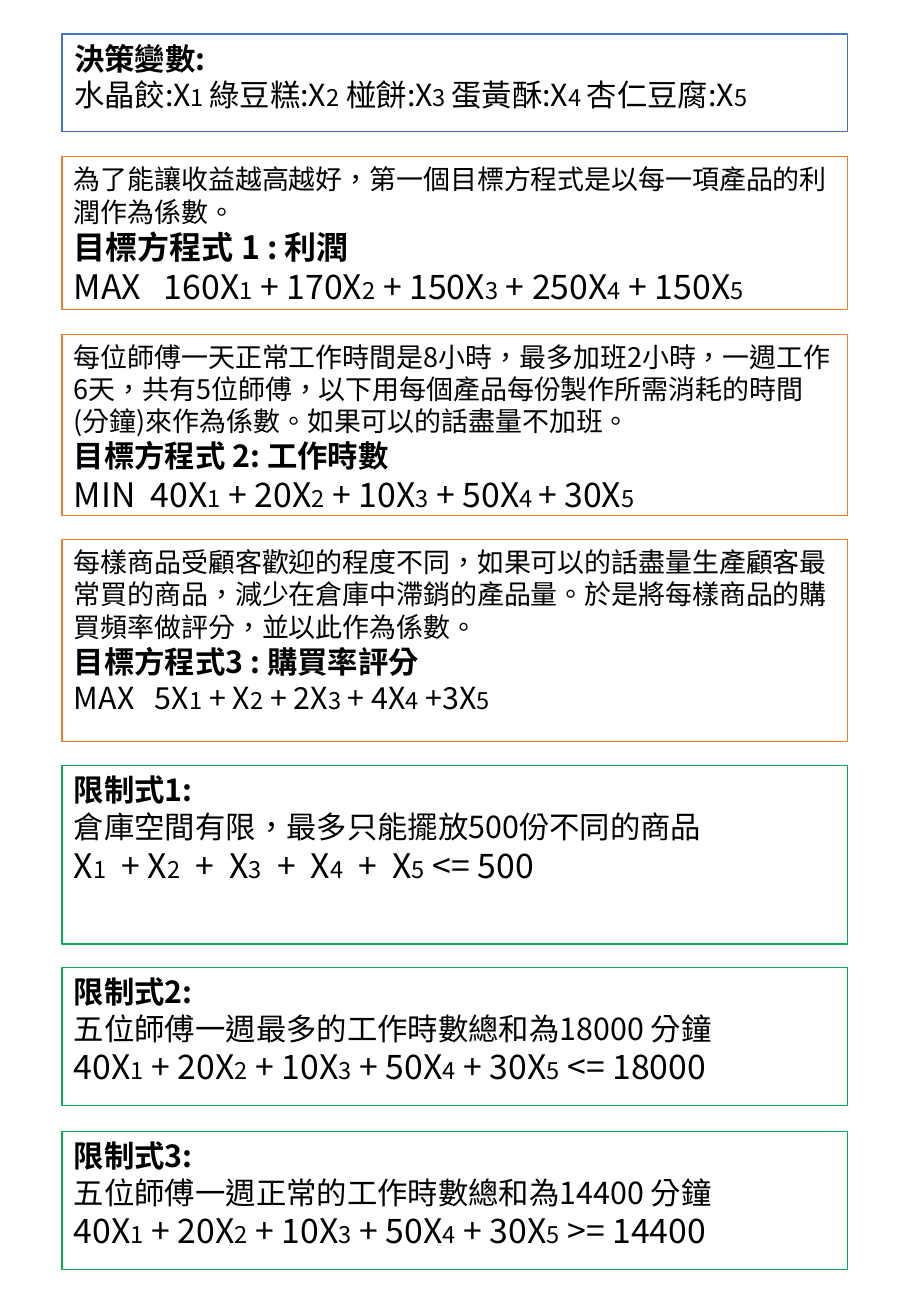
from dataclasses import dataclass

from lxml.etree import SubElement
from pptx import Presentation
from pptx.dml.color import RGBColor
from pptx.enum.shapes import MSO_SHAPE
from pptx.enum.text import MSO_ANCHOR, MSO_AUTO_SIZE, PP_ALIGN
from pptx.oxml.ns import qn
from pptx.util import Emu, Pt


# Theme
@dataclass(frozen=True)
class Theme:
    font: str = "Noto Sans CJK SC"
    language: str = "zh-TW"
    ink: str = "000000"
    variables: str = "4472C4"
    objective: str = "ED7D31"
    constraint: str = "00B050"
    note: int = 16
    text: int = 18
    heading: int = 19
    formula: int = 20
    index: int = 14
    line_spacing: float = 1.0
    outline: float = 0.75


THEME = Theme()

# Content: (top, height, outline, lines); a line is (text, size, bold)
# Square brackets hold the small index of a variable
TITLE = (28, 80, THEME.variables, [
    ("決策變數:", THEME.text, True),
    ("水晶餃:X[1 ]綠豆糕:X[2] 椪餅:X[3 ]蛋黃酥:X[4 ]杏仁豆腐:X[5]", THEME.text, False),
])
PANELS = [
    (129, 126, THEME.objective, [
        ("為了能讓收益越高越好，第一個目標方程式是以每一項產品的利潤作為係數。", THEME.note, False),
        ("目標方程式 1 : 利潤", THEME.heading, True),
        ("MAX   160X[1] + 170X[2] + 150X[3] + 250X[4] + 150X[5]", THEME.formula, False),
    ]),
    (275, 149, THEME.objective, [
        ("每位師傅一天正常工作時間是8小時，最多加班2小時，一週工作6天，共有5位師傅，"
         "以下用每個產品每份製作所需消耗的時間(分鐘)來作為係數。如果可以的話盡量不加班。", THEME.note, False),
        ("目標方程式 2: 工作時數", THEME.text, True),
        ("MIN  40X[1] + 20X[2] + 10X[3] + 50X[4 ]+ 30X[5]", THEME.formula, False),
    ]),
    (444, 166, THEME.objective, [
        ("每樣商品受顧客歡迎的程度不同，如果可以的話盡量生產顧客最常買的商品，"
         "減少在倉庫中滯銷的產品量。於是將每樣商品的購買頻率做評分，並以此作為係數。", THEME.note, False),
        ("目標方程式3 : 購買率評分", THEME.text, True),
        ("MAX   5X[1] + X[2] + 2X[3] + 4X[4] +3X[5]", THEME.text, False),
    ]),
    (630, 147, THEME.constraint, [
        ("限制式1:", THEME.text, True),
        ("倉庫空間有限，最多只能擺放500份不同的商品", THEME.text, False),
        ("X[1]  + X[2]  +  X[3]  +  X[4]  +  X[5] <= 500", THEME.formula, False),
    ]),
    (796, 114, THEME.constraint, [
        ("限制式2:", THEME.text, True),
        ("五位師傅一週最多的工作時數總和為18000 分鐘", THEME.text, False),
        ("40X[1] + 20X[2] + 10X[3] + 50X[4] + 30X[5] <= 18000", THEME.formula, False),
    ]),
    (931, 114, THEME.constraint, [
        ("限制式3:", THEME.text, True),
        ("五位師傅一週正常的工作時數總和為14400 分鐘", THEME.text, False),
        ("40X[1] + 20X[2] + 10X[3] + 50X[4] + 30X[5] >= 14400", THEME.formula, False),
    ]),
]

# Layout in px, 100 to the inch
PAGE_WIDTH, PAGE_HEIGHT = 750, 1083
LEFT, WIDTH = 51, 647
INSET_SIDE, INSET_TOP = 10, 5


def px(length):
    return Emu(length * 9144)


def add_span(para, text, size, bold):
    span = para.add_run()
    span.text = text
    font = span.font
    font.size, font.bold = Pt(size), bold
    font.color.rgb = RGBColor.from_string(THEME.ink)
    font.name = THEME.font
    properties = span._r.get_or_add_rPr()
    properties.set("lang", THEME.language)
    SubElement(properties, qn("a:ea"), typeface=THEME.font)


def fill_box(box, top, height, outline, lines):
    box.left, box.top, box.width, box.height = px(LEFT), px(top), px(WIDTH), px(height)
    box.fill.background()
    box.line.color.rgb = RGBColor.from_string(outline)
    box.line.width = Pt(THEME.outline)
    frame = box.text_frame
    frame.word_wrap, frame.auto_size = True, MSO_AUTO_SIZE.NONE
    frame.vertical_anchor = MSO_ANCHOR.TOP
    frame.margin_left = frame.margin_right = px(INSET_SIDE)
    frame.margin_top, frame.margin_bottom = px(INSET_TOP), 0
    for number, (text, size, bold) in enumerate(lines):
        para = frame.add_paragraph() if number else frame.paragraphs[0]
        para.alignment = PP_ALIGN.LEFT
        para.line_spacing = THEME.line_spacing
        para.space_before = para.space_after = Pt(0)
        for order, part in enumerate(text.replace("]", "[").split("[")):
            if part:
                add_span(para, part, THEME.index if order % 2 else size, bold)


def main():
    deck = Presentation()
    deck.slide_width, deck.slide_height = px(PAGE_WIDTH), px(PAGE_HEIGHT)
    page = deck.slides.add_slide(deck.slide_layouts.get_by_name("Title Only"))

    # Decision variables
    fill_box(page.shapes.title, *TITLE)

    # Objectives and constraints
    for panel in PANELS:
        box = page.shapes.add_shape(MSO_SHAPE.RECTANGLE, 0, 0, px(WIDTH), px(WIDTH))
        box.shadow.inherit = False
        fill_box(box, *panel)

    deck.save("out.pptx")


if __name__ == "__main__":
    main()
